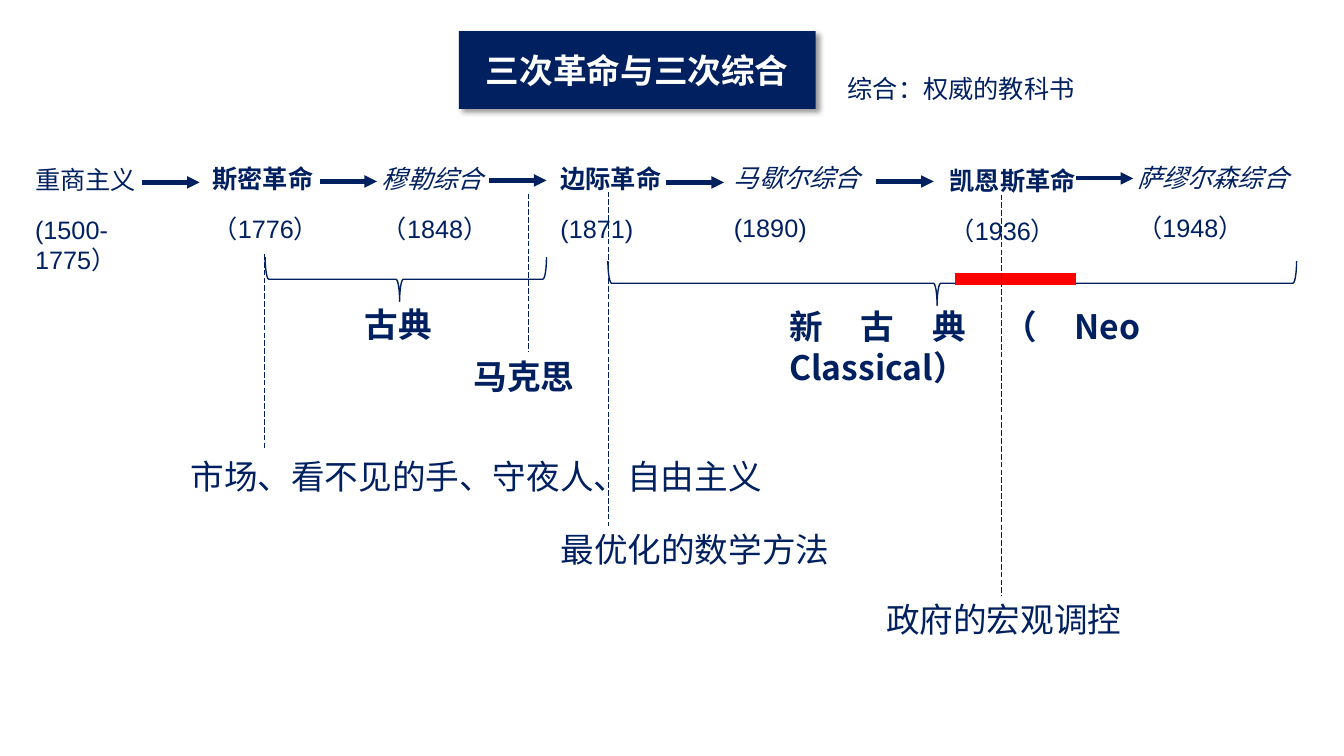
from dataclasses import dataclass
from typing import NamedTuple

from lxml.etree import SubElement
from pptx import Presentation
from pptx.dml.color import RGBColor
from pptx.enum.dml import MSO_LINE
from pptx.enum.shapes import MSO_CONNECTOR, MSO_SHAPE
from pptx.enum.text import MSO_ANCHOR, MSO_AUTO_SIZE, PP_ALIGN
from pptx.oxml import parse_xml
from pptx.oxml.ns import nsdecls, qn
from pptx.util import Inches, Pt


@dataclass(frozen=True)
class Theme:
    """Colours, fonts and sizes used across the slide."""
    navy: RGBColor = RGBColor(0x00, 0x20, 0x60)
    red: RGBColor = RGBColor(0xFF, 0x00, 0x00)
    white: RGBColor = RGBColor(0xFF, 0xFF, 0xFF)
    latin: str = "Arial"
    cjk: str = "Noto Sans CJK SC"
    body: int = 18
    large: int = 24
    gap: int = 14


class Box(NamedTuple):
    """A region in inches."""
    left: float
    top: float
    width: float
    height: float

    def sub(self, dx, dy, width, height):
        """Return a box offset from this one's corner."""
        return Box(self.left + dx, self.top + dy, width, height)

    def lengths(self):
        """Return the four sides as lengths."""
        return [Inches(v) for v in self]


THEME = Theme()


def style_run(r, **formats):
    """Apply font values, theme defaults first."""
    values = {"name": THEME.cjk, "size": Pt(THEME.body), "bold": False, "italic": False}
    color = formats.pop("color", THEME.navy)
    for key, value in (values | formats).items():
        setattr(r.font, key, value)
    r.font.color.rgb = color
    SubElement(r.font._element, qn("a:ea")).set("typeface", THEME.cjk)


def add_text(slide, box, lines, align=PP_ALIGN.JUSTIFY):
    """Add a text box with one paragraph per (text, formats) pair."""
    tf = slide.shapes.add_textbox(*box.lengths()).text_frame
    tf.word_wrap = True
    tf.auto_size = MSO_AUTO_SIZE.SHAPE_TO_FIT_TEXT
    for i, (text, formats) in enumerate(lines):
        p = tf.add_paragraph() if i else tf.paragraphs[0]
        p.alignment = align
        p.space_before = Pt(THEME.gap)
        r = p.add_run()
        r.text = text
        style_run(r, **formats)


def add_line(slide, start, end, width, color=THEME.navy, dash=None, arrow=False):
    """Add a straight line between two points, optionally dashed or arrowed."""
    points = [Inches(v) for v in (*start, *end)]
    line = slide.shapes.add_connector(MSO_CONNECTOR.STRAIGHT, *points)
    for key, value in {"width": Pt(width), "dash_style": dash}.items():
        setattr(line.line, key, value)
    line.line.color.rgb = color
    if arrow:
        SubElement(line.line._get_or_add_ln(), qn("a:tailEnd")).set("type", "triangle")
    SubElement(line._element.spPr, qn("a:effectLst"))


def add_brace(slide, box):
    """Add a downward-pointing brace that fills the box."""
    turned = box.sub((box.width - box.height) / 2, (box.height - box.width) / 2,
                     box.height, box.width)
    sp = slide.shapes.add_shape(MSO_SHAPE.LEFT_BRACE, *turned.lengths())
    sp.rotation = 270
    sp.adjustments[0], sp.adjustments[1] = 0.083, 0.478
    sp.shadow.inherit = False
    sp.fill.background()
    sp.line.color.rgb = THEME.navy
    sp.line.width = Pt(1)


def header(slide, box):
    """Place the rounded title and the remark beside it."""
    sp = slide.shapes.title
    for key, value in zip(("left", "top", "width", "height"),
                          box.sub(0, 0, 3.54, box.height).lengths()):
        setattr(sp, key, value)
    sp._element.spPr.append(parse_xml(
        f'<a:prstGeom {nsdecls("a")} prst="roundRect"><a:avLst/></a:prstGeom>'))
    sp.fill.solid()
    sp.fill.fore_color.rgb = THEME.navy
    sp._element.spPr.append(parse_xml(
        f'<a:effectLst {nsdecls("a")}><a:outerShdw blurRad="{Pt(4)}" dist="{Pt(3)}" '
        'dir="2700000" algn="tl" rotWithShape="0"><a:srgbClr val="000000">'
        '<a:alpha val="40000"/></a:srgbClr></a:outerShdw></a:effectLst>'))
    tf = sp.text_frame
    for key, value in {"vertical_anchor": MSO_ANCHOR.MIDDLE, "word_wrap": True,
                       "auto_size": MSO_AUTO_SIZE.NONE}.items():
        setattr(tf, key, value)
    p = tf.paragraphs[0]
    p.alignment = PP_ALIGN.CENTER
    r = p.add_run()
    r.text = "三次革命与三次综合"
    style_run(r, size=Pt(THEME.large), bold=True, color=THEME.white)
    add_text(slide, box.sub(3.76, 0.37, 4.2, 0.4), [("综合：权威的教科书", {})], PP_ALIGN.LEFT)


def timeline(slide, box):
    """Place the seven eras and the arrows between them."""
    revolution, synthesis = {"bold": True}, {"italic": True}
    eras = [
        (0, 0.02, 1.24, "重商主义", "(1500-1775）", {}),
        (1.76, 0.01, 1.72, "斯密革命", "（1776）", revolution),
        (3.44, 0.01, 1.72, "穆勒综合", "（1848）", synthesis),
        (5.21, 0.01, 1.72, "边际革命", "(1871)", revolution),
        (6.93, 0, 2.15, "马歇尔综合", "(1890)", synthesis),
        (9.07, 0.03, 1.58, "凯恩斯革命", "（1936）", revolution),
        (10.93, 0, 2.15, "萨缪尔森综合", "（1948）", synthesis),
    ]
    for dx, dy, width, name, years, formats in eras:
        add_text(slide, box.sub(dx, dy, width, box.height),
                 [(name, {"name": THEME.latin} | formats), (years, {"name": THEME.latin})])
    arrows = [(1.16, 0.25), (2.92, 0.24), (4.6, 0.23), (6.36, 0.25), (8.44, 0.24), (10.42, 0.21)]
    for dx, dy in arrows:
        x, y = box.left + dx, box.top + dy
        add_line(slide, (x, y), (x + 0.57, y), 3, arrow=True)


def schools(slide, box):
    """Place the braces, the school names and the red Keynesian mark."""
    add_brace(slide, box.sub(0, 0, 2.79, 0.44))
    add_brace(slide, box.sub(3.4, 0.04, 6.83, 0.44))
    y = box.top + 0.22
    add_line(slide, (box.left + 6.84, y), (box.left + 8.04, y), 8.5, THEME.red)
    for dx, dy, width, name in [(0.89, 0.42, 1.72, "古典"),
                                (5.1, 0.44, 3.68, "新古典（Neo Classical）"),
                                (1.97, 0.93, 1.72, "马克思")]:
        add_text(slide, box.sub(dx, dy, width, 0.5),
                 [(name, {"size": Pt(THEME.large), "bold": True})])


def legacies(slide, box):
    """Drop dashed lines from the timeline to the idea each era left."""
    for dx, dy, length in [(0.83, 0.62, 1.93), (3.45, 0.02, 1.57),
                           (4.24, 0, 3.32), (8.14, 0.03, 3.98)]:
        x, y = box.left + dx, box.top + dy
        add_line(slide, (x, y), (x, y + length), 0.5, dash=MSO_LINE.LONG_DASH)
    for dx, dy, width, idea in [(0, 2.57, 6.11, "市场、看不见的手、守夜人、自由主义"),
                                (3.67, 3.3, 6.11, "最优化的数学方法"),
                                (6.9, 3.99, 4.5, "政府的宏观调控")]:
        add_text(slide, box.sub(dx, dy, width, 0.5), [(idea, {"size": Pt(THEME.large)})])


def main():
    """Build the slide and save it."""
    prs = Presentation()
    prs.slide_width, prs.slide_height = Inches(13.33), Inches(7.5)
    slide = prs.slides.add_slide(prs.slide_layouts[5])
    header(slide, Box(4.55, 0.31, 7.96, 0.77))
    timeline(slide, Box(0.25, 1.56, 13.08, 0.9))
    schools(slide, Box(2.63, 2.55, 10.23, 1.43))
    legacies(slide, Box(1.79, 1.9, 11.4, 4.49))
    prs.save("out.pptx")


if __name__ == "__main__":
    main()
